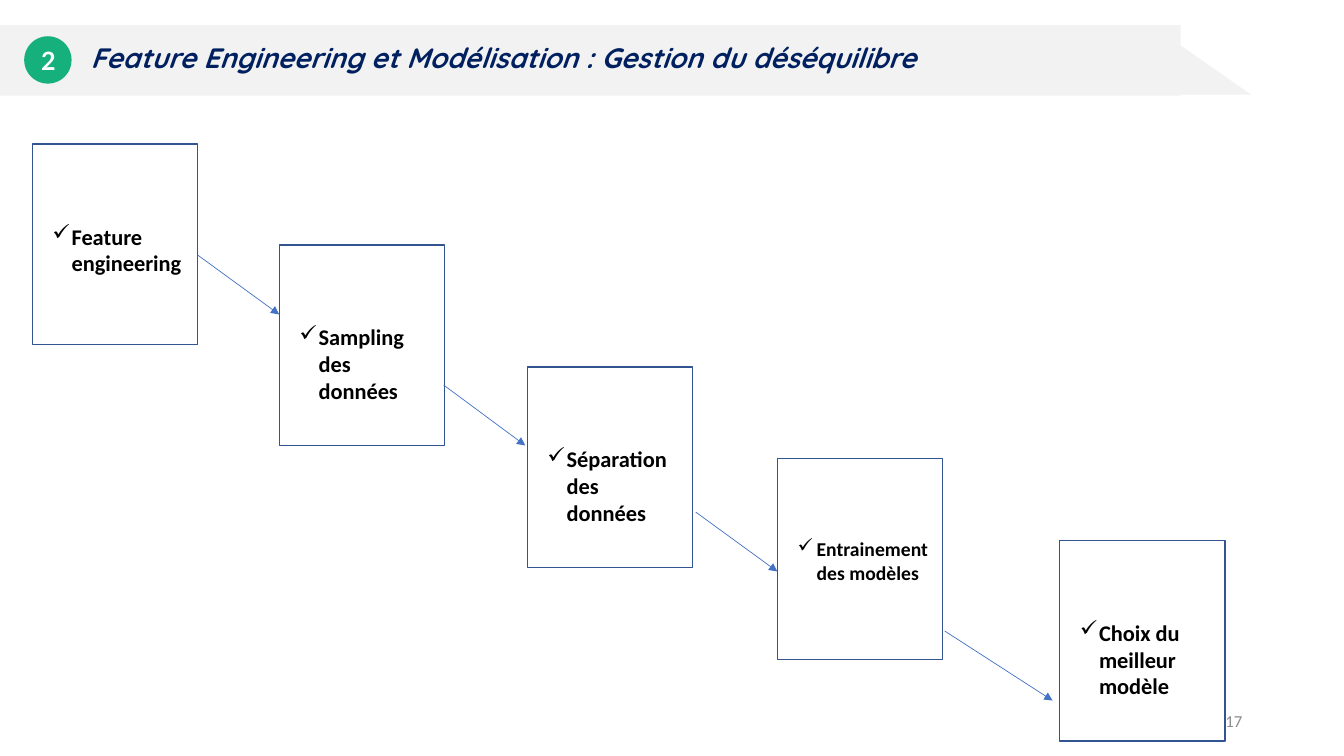
"""Build the slide on the staircase of modelling steps."""
from lxml import etree
from pptx import Presentation, util as u
from pptx.dml.color import RGBColor
from pptx.enum import shapes, text
from pptx.oxml import ns

GREY = RGBColor(0xF2, 0xF2, 0xF2)
NUMBER_GREY = RGBColor(0x8C, 0x8C, 0x8C)
NAVY = RGBColor(0x00, 0x20, 0x60)
GREEN = RGBColor(0x16, 0xB0, 0x7D)
WHITE = RGBColor(0xFF, 0xFF, 0xFF)
BLACK = RGBColor(0x00, 0x00, 0x00)
CARD_BLUE = RGBColor(0x32, 0x54, 0x91)
ARROW_BLUE = RGBColor(0x44, 0x72, 0xC4)

COLUMNS, ROWS = 13.33, 7.5
CARD_WIDTH, CARD_HEIGHT = 1.64, 1.99
LABEL_LEFT, LABEL_TOP = 0.12, 0.35
HANGING = 0.19
STEPS = [
    (0.32, 1.43, "Feature engineering", 16),
    (2.77, 2.43, "Sampling des données", 16),
    (5.23, 3.64, "Séparation des données", 16),
    (7.71, 4.55, "Entrainement des modèles", 14),
    (10.51, 5.36, "Choix du meilleur modèle", 16),
]
ARROWS = [
    (1.96, 2.53, 2.77, 3.12),
    (4.4, 3.82, 5.21, 4.42),
    (6.9, 5.08, 7.71, 5.67),
    (9.37, 6.26, 10.44, 6.95),
]


class Page:
    """Hold the style and the current slide, on a grid of one-inch cells."""

    def __init__(self, deck):
        deck.slide_width, deck.slide_height = self.cells(COLUMNS, ROWS)
        self.slide = deck.slides.add_slide(deck.slide_layouts[6])

    def cells(self, *counts):
        return [u.Inches(count) for count in counts]

    def shape(self, kind, place, fill=None, line=None, parent=None):
        box = (parent or self.slide).shapes.add_shape(kind, *self.cells(*place))
        box.shadow.inherit = False
        if fill is None:
            box.fill.background()
        else:
            box.fill.solid()
            box.fill.fore_color.rgb = fill
        if line is None:
            box.line.fill.background()
        else:
            box.line.color.rgb = line
            box.line.width = u.Pt(1)
        return box

    def caption(self, box, words, font, size, color, bold=False, italic=False,
                align=text.PP_ALIGN.LEFT, anchor=text.MSO_ANCHOR.MIDDLE,
                insets=(0.1, 0.05, 0.1, 0.05)):
        frame = box.text_frame
        frame.word_wrap = True
        frame.vertical_anchor = anchor
        (frame.margin_left, frame.margin_top,
         frame.margin_right, frame.margin_bottom) = self.cells(*insets)
        para = frame.paragraphs[0]
        para.text = words
        para.alignment = align
        para.font.name = font
        para.font.size = u.Pt(size)
        para.font.bold = bold
        para.font.italic = italic
        para.font.color.rgb = color
        return para

    def label(self, place, words, parent=None, **style):
        box = (parent or self.slide).shapes.add_textbox(*self.cells(*place))
        return self.caption(box, words, **style)

    def card(self, left, top, words, size):
        group = self.slide.shapes.add_group_shape()
        self.shape(shapes.MSO_SHAPE.RECTANGLE, (left, top, CARD_WIDTH, CARD_HEIGHT),
                   line=CARD_BLUE, parent=group)
        place = (left + LABEL_LEFT, top + LABEL_TOP, CARD_WIDTH - LABEL_LEFT, 1.3)
        para = self.label(place, words, group, font="Calibri", size=size, color=BLACK,
                          bold=True, anchor=text.MSO_ANCHOR.TOP,
                          insets=(0.08, 0.43, 0.1, 0.05))
        self.check(para)

    def check(self, para):
        settings = para._p.get_or_add_pPr()
        settings.set("marL", str(u.Inches(HANGING)))
        settings.set("indent", str(-u.Inches(HANGING)))
        bullet = etree.Element(ns.qn("a:buChar"), char="✓")
        settings.insert_element_before(bullet, "a:tabLst", "a:defRPr", "a:extLst")

    def arrow(self, *ends):
        arrow = self.slide.shapes.add_connector(
            shapes.MSO_CONNECTOR.STRAIGHT, *self.cells(*ends))
        arrow.line.color.rgb = ARROW_BLUE
        arrow.line.width = u.Pt(0.5)
        outline = arrow._element.spPr.find(ns.qn("a:ln"))
        etree.SubElement(outline, ns.qn("a:tailEnd"), type="triangle")
        etree.SubElement(arrow._element.spPr, ns.qn("a:effectLst"))


deck = Presentation()
page = Page(deck)
page.shape(shapes.MSO_SHAPE.RIGHT_TRIANGLE, (11.58, 0.36, 0.83, 0.58), GREY)
page.shape(shapes.MSO_SHAPE.RECTANGLE, (0, 0.25, 11.71, 0.7), GREY)
page.label((9.42, 6.95, 3, 0.4), "17", font="Calibri", size=12, color=NUMBER_GREY,
           align=text.PP_ALIGN.RIGHT)
title = page.label((0, 0.26, 11.77, 0.68),
                   "Feature Engineering et Modélisation : Gestion du déséquilibre",
                   font="Quicksand", size=20, color=NAVY, bold=True, italic=True,
                   insets=(0.9, 0.05, 0.1, 0.05))
title.line_spacing = u.Pt(20)
badge = page.shape(shapes.MSO_SHAPE.OVAL, (0.24, 0.36, 0.47, 0.47), GREEN)
page.caption(badge, "2", "Lato", 18, WHITE, bold=True, align=text.PP_ALIGN.CENTER)
for step in STEPS:
    page.card(*step)
for ends in ARROWS:
    page.arrow(*ends)
deck.save("out.pptx")
